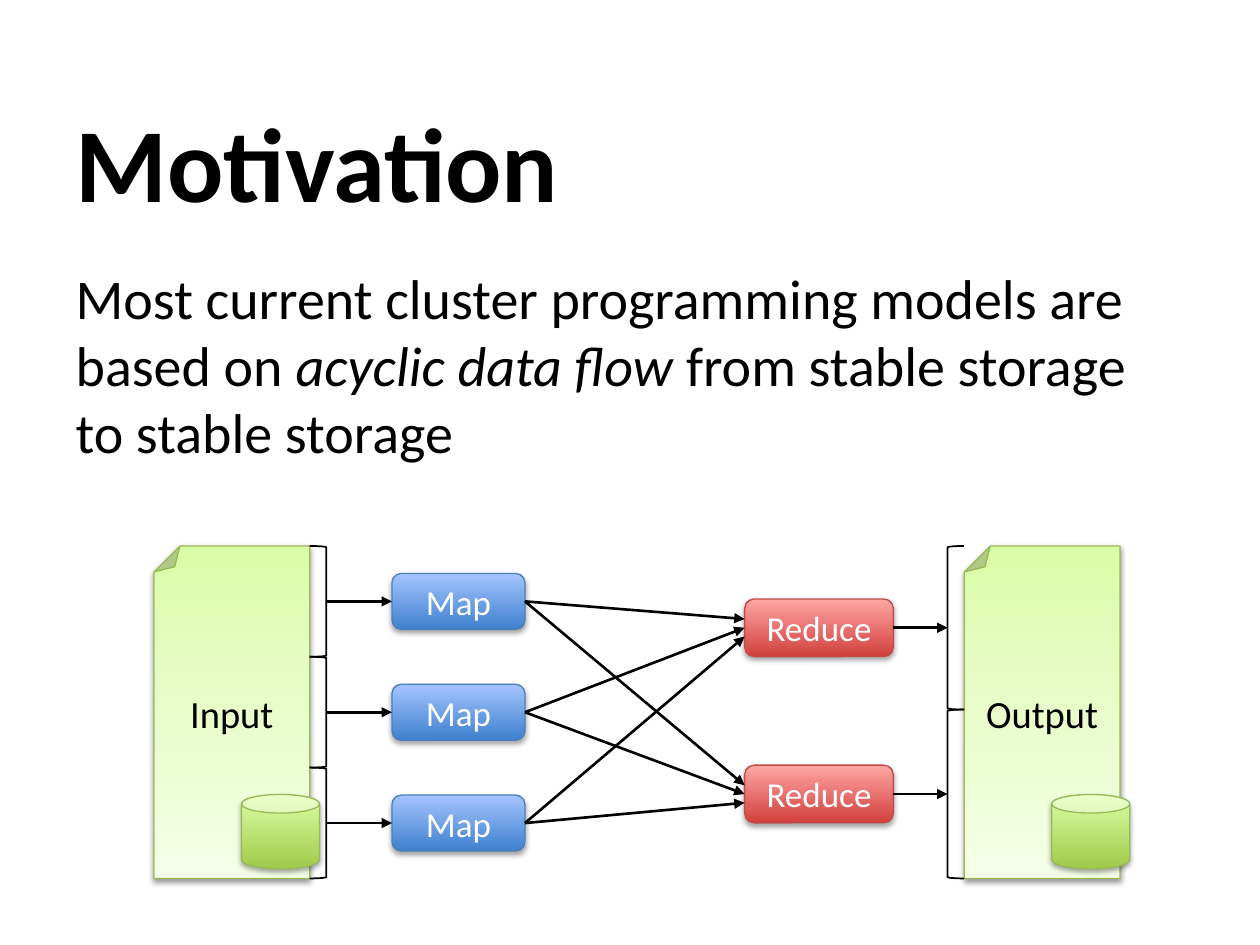
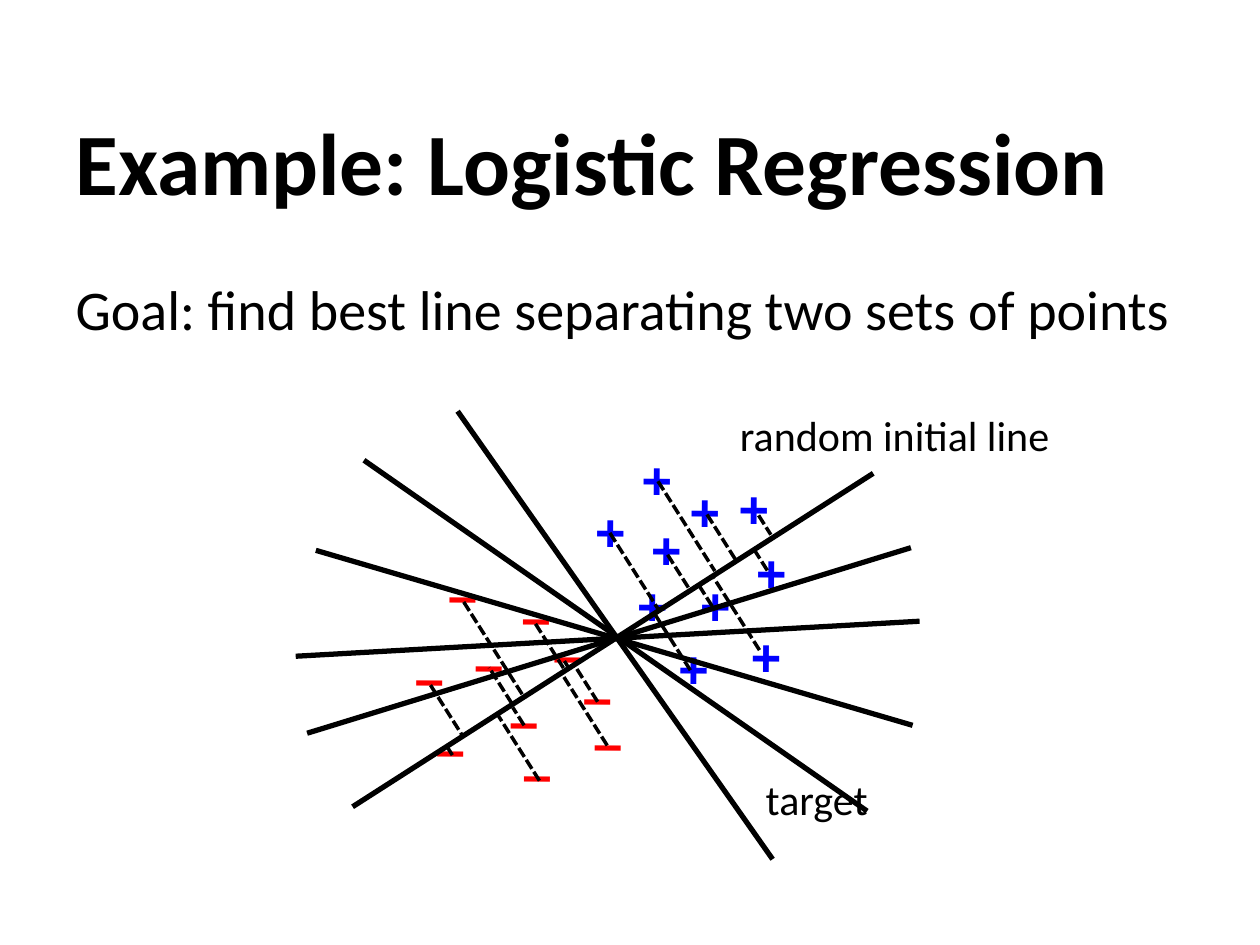
from collections import namedtuple

from pptx import Presentation
from pptx.dml.color import RGBColor
from pptx.enum.dml import MSO_LINE
from pptx.enum.shapes import MSO_CONNECTOR, MSO_SHAPE
from pptx.enum.text import MSO_ANCHOR, MSO_AUTO_SIZE, PP_ALIGN
from pptx.oxml import parse_xml
from pptx.oxml.ns import nsdecls, qn
from pptx.util import Pt

BLACK = RGBColor(0x00, 0x00, 0x00)
WHITE = RGBColor(0xFF, 0xFF, 0xFF)
PLUS_BLUE = RGBColor(0x00, 0x00, 0xFF)
MINUS_RED = RGBColor(0xFF, 0x00, 0x00)
MAP_LINE = RGBColor(0x4B, 0x7E, 0xBC)
MAP_DARK = RGBColor(0x3F, 0x80, 0xCE)
MAP_LIGHT = RGBColor(0xA4, 0xC4, 0xFF)
REDUCE_LINE = RGBColor(0xBF, 0x4C, 0x48)
REDUCE_DARK = RGBColor(0xD1, 0x40, 0x3C)
REDUCE_LIGHT = RGBColor(0xFF, 0xA6, 0xA5)
FILE_LINE = RGBColor(0x98, 0xB9, 0x55)
FILE_DARK = RGBColor(0xDA, 0xFD, 0xA7)
FILE_MIDDLE = RGBColor(0xE4, 0xFC, 0xC2)
FILE_LIGHT = RGBColor(0xF5, 0xFF, 0xE7)
DISK_DARK = RGBColor(0xA0, 0xCA, 0x4A)
DISK_LIGHT = RGBColor(0xDA, 0xFF, 0xA5)

ROUNDED = MSO_SHAPE.ROUNDED_RECTANGLE
FOLDED = MSO_SHAPE.FOLDED_CORNER
BRACKET = MSO_SHAPE.RIGHT_BRACKET
CAN = MSO_SHAPE.CAN
STRAIGHT = MSO_CONNECTOR.STRAIGHT
DASH = MSO_LINE.SQUARE_DOT
LEFT, CENTER = PP_ALIGN.LEFT, PP_ALIGN.CENTER
TOP, MIDDLE = MSO_ANCHOR.TOP, MSO_ANCHOR.MIDDLE
NO_FIT, GROW = MSO_AUTO_SIZE.NONE, MSO_AUTO_SIZE.SHAPE_TO_FIT_TEXT
LEFT_SIDE, RIGHT_SIDE = 1, 3

FONT = "Calibri"
MARK_FONT = "Arial"

Box = namedtuple("Box", "left top width height")
# Gradient stops are (percent, colour), running from the bottom up.
Look = namedtuple("Look", "stops line shadow_alpha shadow_distance")

MAP_LOOK = Look([(0, MAP_DARK), (100, MAP_LIGHT)], MAP_LINE, 35, 1.8)
REDUCE_LOOK = Look([(0, REDUCE_DARK), (100, REDUCE_LIGHT)], REDUCE_LINE, 35, 1.8)
FILE_LOOK = Look([(0, FILE_DARK), (35, FILE_MIDDLE), (100, FILE_LIGHT)],
                 FILE_LINE, 38, 1.6)
DISK_LOOK = Look([(0, DISK_DARK), (100, DISK_LIGHT)], FILE_LINE, 35, 1.8)

TITLE_BOX = Box(36, 46.8, 648, 90)
FLOW_BOX = Box(88, 312, 552, 190)
PLOT_BOX = Box(168, 234, 358, 258)

# Positions below are relative to PLOT_BOX; marks are given by their centres.
PLUS_CENTRES = [
    (213, 80), (205, 112), (273, 93), (241, 112), (235, 58),
    (270, 141), (181, 69.5), (207.5, 40), (263, 56.5), (228.5, 148)]
MINUS_CENTRES = [
    (132, 177.5), (112, 145), (157, 140), (139, 118), (90, 193.5),
    (97, 105.5), (174, 164), (139.5, 208), (180, 190), (78, 153)]
SEPARATORS = [
    ((93.5, 1), (273.5, 257)), ((33.5, 227), (331, 36.5)),
    ((7.5, 185), (352.5, 79)), ((1, 141), (357.5, 121)),
    ((12.5, 80.5), (353.5, 180.5)), ((40, 29), (327.5, 229.5))]
# Dashes are parallel: start x, start y and horizontal run.
DASH_SLOPE = 1.58
DASHES = [
    (131.5, 180.5, -6.5), (236, 60, 17), (213.5, 83, 13.5), (208, 41, 32.5),
    (265.5, 60.5, 7), (180.5, 70.5, 28), (270.5, 92, -7.5), (239, 112.5, -7.5),
    (266, 137.5, -26), (226.5, 149, -20), (97, 110, 34), (138, 122.5, 16),
    (78, 157.5, 18), (173.5, 167, -13), (115.5, 173, 25), (179, 192, -26),
    (90.5, 197.5, -3), (157.5, 148.5, -3), (124.5, 168, -13)]


def in_points(box):
    return [Pt(length) for length in box]


def format_text(frame, size, colour=BLACK, font=FONT, bold=False, align=LEFT):
    for para in frame.paragraphs:
        para.alignment = align
        for span in para.runs:
            span.font.size = Pt(size)
            span.font.name = font
            span.font.bold = bold
            span.font.color.rgb = colour


def add_label(page, box, text, size, wrap=False, **style):
    label = page.shapes.add_textbox(*in_points(box))
    frame = label.text_frame
    frame.text = text
    frame.word_wrap = wrap
    frame.auto_size = GROW
    format_text(frame, size, **style)
    return label


def add_glossy(page, kind, box, look):
    """Add a shape with a vertical gradient, a thin outline and a soft shadow."""
    shape = page.shapes.add_shape(kind, *in_points(box))
    shape.line.color.rgb = look.line
    shape.line.width = Pt(0.75)
    shape.fill.background()
    stops = "".join(
        f'<a:gs pos="{percent * 1000}"><a:srgbClr val="{colour}"/></a:gs>'
        for percent, colour in look.stops)
    properties = shape._element.spPr
    properties.replace(properties.find(qn("a:noFill")), parse_xml(
        f'<a:gradFill rotWithShape="1" {nsdecls("a")}><a:gsLst>{stops}</a:gsLst>'
        '<a:lin ang="16200000" scaled="0"/></a:gradFill>'))
    shape.shadow.inherit = False
    properties.find(qn("a:effectLst")).append(parse_xml(
        f'<a:outerShdw {nsdecls("a")} blurRad="{Pt(3.1)}" '
        f'dist="{Pt(look.shadow_distance)}" dir="5400000" rotWithShape="0">'
        f'<a:srgbClr val="{BLACK}"><a:alpha val="{look.shadow_alpha * 1000}"/>'
        '</a:srgbClr></a:outerShdw>'))
    return shape


def add_line(page, start, end, width, dash=None):
    line = page.shapes.add_connector(STRAIGHT, *in_points((*start, *end)))
    line.line.color.rgb = BLACK
    line.line.width = Pt(width)
    if dash is not None:
        line.line.dash_style = dash
    line._element.spPr.append(parse_xml(f'<a:effectLst {nsdecls("a")}/>'))
    return line


def add_arrow(page, start, end):
    arrow = add_line(page, start, end, 1.5)
    arrow.line._get_or_add_ln().append(
        parse_xml(f'<a:tailEnd type="triangle" {nsdecls("a")}/>'))
    return arrow


def add_bracket(page, box, mirrored=False):
    bracket = page.shapes.add_shape(BRACKET, *in_points(box))
    bracket.fill.background()
    bracket.line.color.rgb = BLACK
    bracket.line.width = Pt(1)
    bracket.shadow.inherit = False
    if mirrored:
        bracket._element.spPr.find(qn("a:xfrm")).set("flipH", "1")


def add_task(page, box, text, look):
    task = add_glossy(page, ROUNDED, box, look)
    frame = task.text_frame
    frame.text = text
    frame.vertical_anchor = MIDDLE
    frame.word_wrap = False
    format_text(frame, 20, WHITE, align=CENTER)
    return task


def add_file(page, box, text):
    add_glossy(page, FOLDED, box, FILE_LOOK).rotation = 180
    add_label(page, Box(box.left, box.top + 78.5, box.width, 33), text, 22,
              wrap=True, align=CENTER)


def add_disk(page, file_box):
    add_glossy(page, CAN, Box(file_box.left + 50, file_box.top + 142, 44.6, 42.5),
               DISK_LOOK)


def add_flow(page, box):
    """Draw the input file, map and reduce tasks and the output file."""
    file_width, bracket_width = 89, 9.5
    input_box = Box(box.left, box.top, file_width, box.height)
    output_box = input_box._replace(left=box.left + box.width - file_width)
    add_file(page, input_box, "Input")
    add_file(page, output_box, "Output")

    map_left, map_width, map_height = box.left + 136, 76, 32
    split_left = input_box.left + file_width
    split_height = box.height / 3
    maps = []
    for row in range(3):
        top = box.top + row * split_height
        middle = top + split_height / 2
        add_bracket(page, Box(split_left, top, bracket_width, split_height))
        task = add_task(page, Box(map_left, middle - map_height / 2, map_width,
                                  map_height), "Map", MAP_LOOK)
        add_arrow(page, (split_left + bracket_width, middle),
                  (map_left, middle)).end_connect(task, LEFT_SIDE)
        maps.append((task, middle))

    reduce_left, reduce_width, reduce_height = box.left + 337.5, 85, 33
    merge_left = output_box.left - bracket_width
    top = box.top
    for merge_height in (93.5, 96.5):
        middle = top + merge_height / 2
        add_bracket(page, Box(merge_left, top, bracket_width, merge_height), True)
        task = add_task(page, Box(reduce_left, middle - reduce_height / 2,
                                  reduce_width, reduce_height),
                        "Reduce", REDUCE_LOOK)
        add_arrow(page, (reduce_left + reduce_width, middle),
                  (merge_left, middle)).begin_connect(task, RIGHT_SIDE)
        for row, (source, source_middle) in enumerate(maps):
            offset = (row - 1) * 5
            arrow = add_arrow(page, (map_left + map_width, source_middle),
                              (reduce_left, middle + offset))
            arrow.begin_connect(source, RIGHT_SIDE)
            if offset == 0:
                arrow.end_connect(task, LEFT_SIDE)
        top += merge_height

    for file_box in (input_box, output_box):
        add_disk(page, file_box)


def add_marks(page, box, sign, colour, centres):
    width, height = 32, 44
    for x, y in centres:
        mark_box = Box(box.left + x - width / 2, box.top + y - height / 2,
                       width, height)
        mark = add_label(page, mark_box, sign, 30, colour=colour,
                         font=MARK_FONT, bold=True)
        mark.rotation = 0.4


def add_plot(page, box):
    """Draw both point sets, their distances and the separating lines."""
    add_marks(page, box, "+", PLUS_BLUE, PLUS_CENTRES)
    add_marks(page, box, "–", MINUS_RED, MINUS_CENTRES)
    add_label(page, Box(box.left + 262.5, box.top + 204.5, 77, 36.5), "target", 24)
    add_label(page, Box(box.left + 246, box.top - 3.5, 194.5, 36.5),
              "random initial line", 24, align=CENTER)

    def place(x, y):
        return box.left + x, box.top + y

    for start, end in SEPARATORS:
        add_line(page, place(*start), place(*end), 3)
    for x, y, run in DASHES:
        add_line(page, place(x, y), place(x + run, y + run * DASH_SLOPE), 2, DASH)


def fill_placeholder(holder, box, anchor):
    holder.left, holder.top, holder.width, holder.height = in_points(box)
    frame = holder.text_frame
    frame.auto_size = NO_FIT
    frame.word_wrap = True
    frame.vertical_anchor = anchor
    return frame


def add_page(deck, title, title_size, body_box, body_spans):
    """Add a page with a title and one paragraph of (text, italic) spans."""
    page = deck.slides.add_slide(deck.slide_layouts[1])
    frame = fill_placeholder(page.shapes.title, TITLE_BOX, MIDDLE)
    frame.text = title
    format_text(frame, title_size, bold=True)

    frame = fill_placeholder(page.placeholders[1], body_box, TOP)
    para = frame.paragraphs[0]
    for text, italic in body_spans:
        span = para.add_run()
        span.text = text
        span.font.italic = italic
    format_text(frame, 32)
    para.space_before = Pt(20)
    properties = para._p.get_or_add_pPr()
    properties.set("marL", "0")
    properties.set("indent", "0")
    properties.append(parse_xml(f'<a:buNone {nsdecls("a")}/>'))
    return page


def main():
    deck = Presentation()
    deck.slide_width, deck.slide_height = Pt(720), Pt(540)

    motivation = add_page(
        deck, "Motivation", 60, Box(36, 147, 648, 178.5),
        [("Most current cluster programming models are based on ", False),
         ("acyclic data flow ", True),
         ("from stable storage to stable storage", False)])
    add_flow(motivation, FLOW_BOX)

    regression = add_page(
        deck, "Example: Logistic Regression", 50, Box(36, 153.5, 648, 74),
        [("Goal: find best line separating two sets of points", False)])
    add_plot(regression, PLOT_BOX)

    deck.save("out.pptx")


if __name__ == "__main__":
    main()
